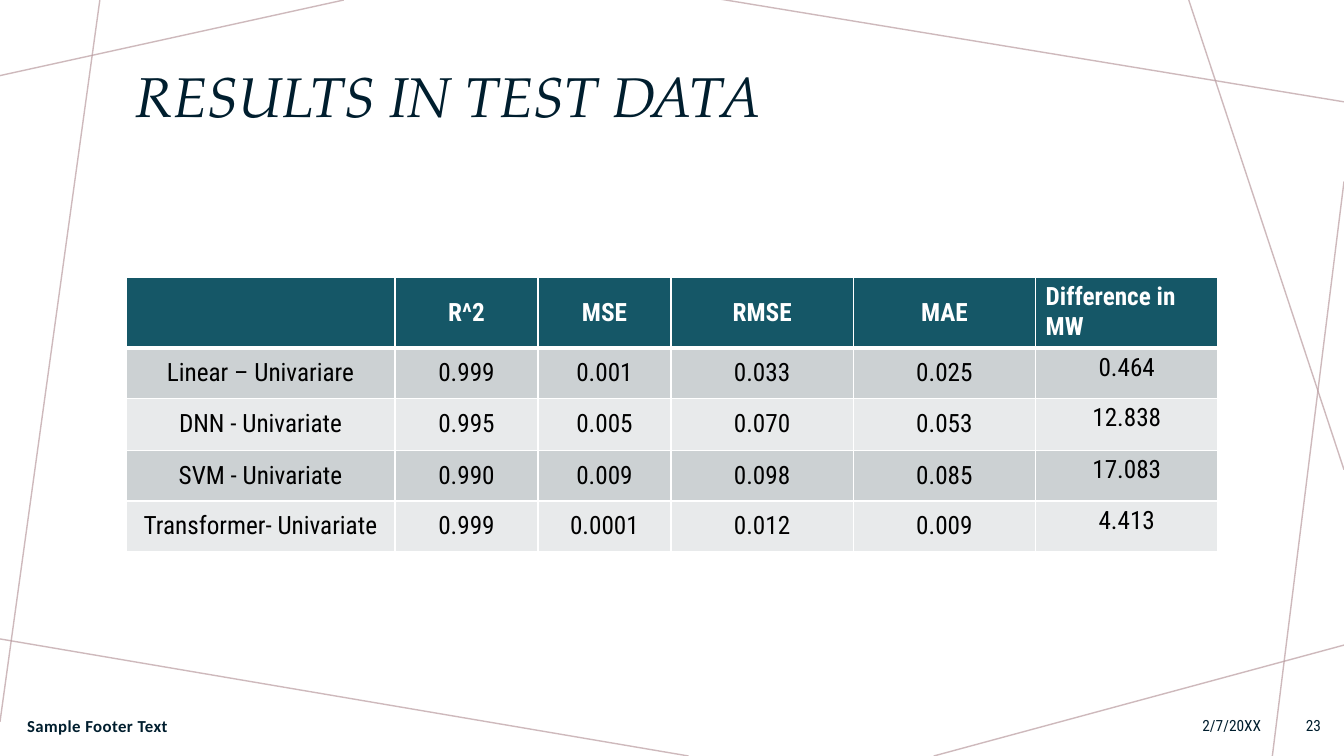
from dataclasses import dataclass

from lxml.etree import SubElement
from pptx import Presentation
from pptx.dml.color import RGBColor
from pptx.enum.shapes import MSO_CONNECTOR
from pptx.enum.text import MSO_ANCHOR as Anchor, PP_ALIGN as Align
from pptx.oxml.ns import qn
from pptx.util import Inches, Pt

NAVY, TEAL, MAUVE, WHITE, BLACK = "001E2E", "155767", "BA9CA0", "FFFFFF", "000000"
BANDS = ("CCD1D3", "E8EAEB")
BODY_FONT, TITLE_FONT, FOOTER_FONT = "Roboto Condensed", "TeX Gyre Pagella", "Calibri"

WEB_LINES = [
    ((25.58, 0), (0, 10)),
    ((7.43, 0), (0, 95.47)),
    ((51.24, 100), (-0.38, 84.4)),
    ((100, 85.33), (69.47, 100)),
    ((100, 24), (94.67, 100)),
    ((100, 62.13), (88.45, 0)),
    ((100, 13.47), (53.56, -0.13)),
]
RESULTS = [
    ("", "R^2", "MSE", "RMSE", "MAE", "Difference in MW"),
    ("Linear – Univariare", "0.999", "0.001", "0.033", "0.025", "0.464"),
    ("DNN - Univariate", "0.995", "0.005", "0.070", "0.053", "12.838"),
    ("SVM - Univariate", "0.990", "0.009", "0.098", "0.085", "17.083"),
    ("Transformer- Univariate", "0.999", "0.0001", "0.012", "0.009", "4.413"),
]
COLUMN_WEIGHTS = (2.67, 1.42, 1.32, 1.81, 1.81, 1.81)
ROW_WEIGHTS = (0.6, 0.5, 0.52, 0.5, 0.5)


@dataclass
class Box:
    left: int
    top: int
    width: int
    height: int

    def point(self, x, y):
        return (self.left + round(self.width * x / 100),
                self.top + round(self.height * y / 100))

    def region(self, x, y, w, h):
        return Box(*self.point(x, y), round(self.width * w / 100),
                   round(self.height * h / 100))

    def frame(self):
        return self.left, self.top, self.width, self.height


def rgb(hex_color):
    return RGBColor.from_string(hex_color)


def style_text(paragraph, size, font, color, bold=False, italic=False):
    for run in paragraph.runs:
        run.font.size, run.font.name = Pt(size), font
        run.font.bold, run.font.italic = bold, italic
        run.font.color.rgb = rgb(color)


def add_label(slide, box, text, size, font, align=Align.LEFT, **style):
    label = slide.shapes.add_textbox(*box.frame()).text_frame
    label.word_wrap = True
    label.vertical_anchor = Anchor.MIDDLE
    label.text = text
    paragraph = label.paragraphs[0]
    paragraph.alignment = align
    style_text(paragraph, size, font, NAVY, **style)
    return paragraph


def add_web(slide, box):
    for start, end in WEB_LINES:
        strand = slide.shapes.add_connector(
            MSO_CONNECTOR.STRAIGHT, *box.point(*start), *box.point(*end))
        strand.line.color.rgb = rgb(MAUVE)
        strand.line.width = Pt(1)
        properties = strand._element.spPr
        color = properties.find(".//" + qn("a:srgbClr"))
        SubElement(color, qn("a:alpha"), val="70000")
        SubElement(properties, qn("a:effectLst"))


def add_title(slide, box):
    title = add_label(slide, box, "RESULTS IN TEST DATA", 40, TITLE_FONT, italic=True)
    title.line_spacing = 0.9


def add_footer(slide, box):
    footer = add_label(slide, box.region(1.28, 0, 36.9, 100), "Sample Footer Text",
                       12, FOOTER_FONT, bold=True)
    footer.runs[0]._r.get_or_add_rPr().set("spc", "30")
    add_label(slide, box.region(60.16, 0, 34.43, 100), "2/7/20XX",
              11, BODY_FONT, Align.RIGHT)
    add_label(slide, box.region(95.2, 0, 3.83, 100), "23", 11, BODY_FONT, Align.RIGHT)


def set_borders(cell, top, bottom):
    properties = cell._tc.get_or_add_tcPr()
    for side, width in (("L", 1), ("R", 1), ("T", top), ("B", bottom)):
        border = SubElement(properties, qn(f"a:ln{side}"), w=str(int(Pt(width))))
        fill = SubElement(border, qn("a:solidFill"))
        SubElement(fill, qn("a:srgbClr"), val=WHITE)


def add_results(slide, box):
    table = slide.shapes.add_table(
        len(RESULTS), len(RESULTS[0]), *box.frame()).table
    for column, weight in zip(table.columns, COLUMN_WEIGHTS):
        column.width = round(box.width * weight / sum(COLUMN_WEIGHTS))
    for row, weight in zip(table.rows, ROW_WEIGHTS):
        row.height = round(box.height * weight / sum(ROW_WEIGHTS))
    last = len(COLUMN_WEIGHTS) - 1
    for r, values in enumerate(RESULTS):
        header = r == 0
        for c, value in enumerate(values):
            cell = table.cell(r, c)
            set_borders(cell, 3 if r == 1 else 1, 3 if header else 1)
            cell.fill.solid()
            cell.fill.fore_color.rgb = rgb(TEAL if header else BANDS[(r - 1) % 2])
            cell.vertical_anchor = Anchor.TOP if c == last else Anchor.MIDDLE
            cell.text = value
            paragraph = cell.text_frame.paragraphs[0]
            paragraph.alignment = Align.LEFT if header and c == last else Align.CENTER
            style_text(paragraph, 18, BODY_FONT, WHITE if header else BLACK, bold=header)


def main():
    deck = Presentation()
    deck.slide_width, deck.slide_height = Inches(13.33), Inches(7.5)
    slide = deck.slides.add_slide(deck.slide_layouts[6])
    slide.background.fill.solid()
    slide.background.fill.fore_color.rgb = rgb(WHITE)
    page = Box(0, 0, deck.slide_width, deck.slide_height)
    add_web(slide, page)
    add_title(slide, page.region(9.38, 7.73, 81.25, 10.93))
    add_footer(slide, page.region(0, 93.33, 100, 5.33))
    add_results(slide, page.region(9.38, 36.67, 81.25, 34.93))
    deck.save("out.pptx")


if __name__ == "__main__":
    main()
